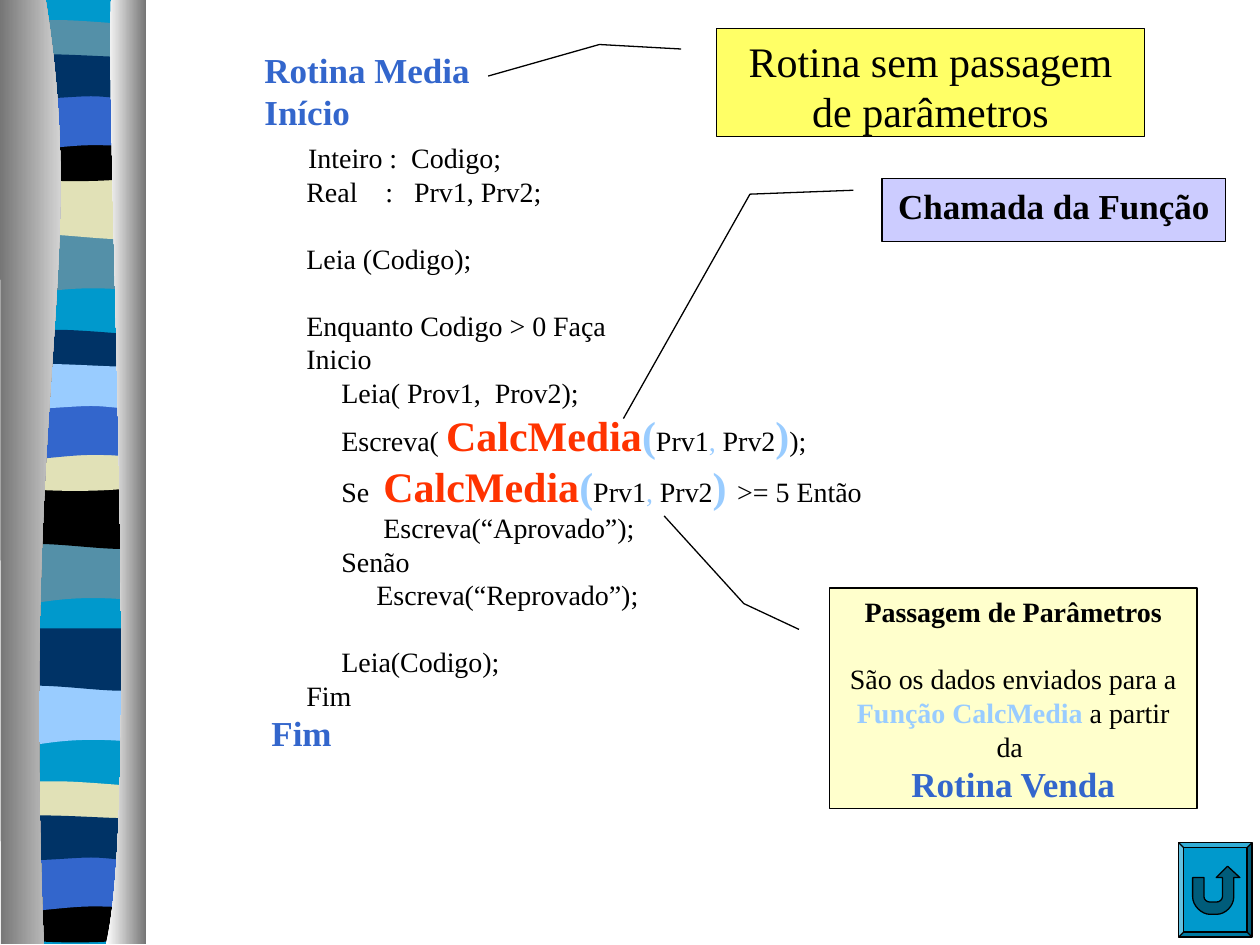
from lxml import etree
from pptx import Presentation
from pptx.dml.color import RGBColor
from pptx.enum import shapes, text
from pptx.util import Pt

FONT = "Times New Roman"
BLACK = RGBColor(0x00, 0x00, 0x00)
WHITE = RGBColor(0xFF, 0xFF, 0xFF)
GRAY = RGBColor(0x76, 0x76, 0x76)
CYAN = RGBColor(0x00, 0x99, 0xCC)
TEAL = RGBColor(0x54, 0x90, 0xA8)
NAVY = RGBColor(0x00, 0x33, 0x66)
BLUE = RGBColor(0x33, 0x66, 0xCC)
SAND = RGBColor(0xE1, 0xE1, 0xB7)
SKY = RGBColor(0x99, 0xCC, 0xFF)
RED = RGBColor(0xFF, 0x33, 0x00)
YELLOW = RGBColor(0xFF, 0xFF, 0x66)
LILAC = RGBColor(0xCC, 0xCC, 0xFF)
CREAM = RGBColor(0xFF, 0xFF, 0xCC)
DEEP_CYAN = RGBColor(0x00, 0x5C, 0x7A)

ROLL = ((78, 133), (78, 167), (24, 161, 13, 173, 0, 167), (0, 133))
SWELL = ((78, 101.5), (78, 135.5), (65, 141, 24, 131, 0, 135.5), (0, 101.5))
CREST = ((78, 15), (78, 32), (65, 35, 13, 35, 0, 32), (0, 15),
         (4, 11.5, 17, 12, 30, 12), (42, 12, 68, 14.5, 78, 15))
SAG = ((78, 78), (78, 101), (65, 105, 13, 105, 0, 101), (0, 78),
       (48, 81, 61, 78, 78, 78))
ARCH = ((78, 53), (78, 87), (66, 83.5, 61, 83.5, 48, 83.5),
        (35, 83.5, 12, 87, 0, 87), (0, 53))
RIPPLE = ((78, 33), (78, 55.5), (73, 59, 61, 55.5, 48, 55.5),
          (35, 55.5, 8, 59, 0, 55.5), (0, 33), (11, 29.5, 53, 33, 66, 33), (78, 33))
TILE = (ROLL, SWELL, CREST, SAG, ARCH, RIPPLE)
BAND_GROUPS = (
    (0, TILE, (TEAL, SAND, TEAL, BLACK, BLUE, NAVY)),
    (177, TILE, (TEAL, BLACK, NAVY, SAND, BLUE, SKY)),
    (258, TILE[:2], (SKY, NAVY)),
    (435, TILE[2:], (SAND, BLACK, BLUE, NAVY)),
)
U_ARROW = (
    (8, 20), (14.5, 20), (14.5, 31), (14.5, 32.5, 16, 34, 18, 34), (21.5, 34),
    (23.5, 34, 25, 32.5, 25, 31), (25, 20), (21.5, 20), (28, 13.5), (35, 20),
    (31.5, 20), (31.5, 31), (31.5, 36, 27, 41, 21.5, 41), (18, 41),
    (13, 41, 8, 36, 8, 31))


def outline(slide, left, top, moves, color=None):
    """Draw a closed outline; a move of six numbers is a cubic curve."""
    places = [(Pt(left + x), Pt(top + y))
              for move in moves for x, y in zip(move[::2], move[1::2])]
    builder = slide.shapes.build_freeform(*places[0])
    builder.add_line_segments(places[1:], close=True)
    form = builder.convert_to_shape()
    lines = iter(form._element.findall(".//{*}lnTo"))
    for move in moves[1:]:
        first = next(lines)
        if len(move) == 6:
            first.tag = first.tag.replace("lnTo", "cubicBezTo")
            for extra in (next(lines), next(lines)):
                first.append(extra[0])
                extra.getparent().remove(extra)
    for leftover in lines:
        leftover.getparent().remove(leftover)
    form.shadow.inherit = False
    form.line.fill.background()
    if color is not None:
        form.fill.solid()
        form.fill.fore_color.rgb = color
    return form


def curtain(slide, left, top, moves, colors):
    """Draw a drape shaded from left to right."""
    drape = outline(slide, left, top, moves)
    drape.fill.gradient()
    drape.fill.gradient_angle = 0
    for stop, color in zip(drape.fill.gradient_stops, colors):
        stop.color.rgb = color


def side_ornament(slide, left, top, width, height):
    """Draw the wavy bands between two drapes."""
    outline(slide, left + 4, top, ((78, 0), (78, height), (0, height), (0, 0)), CYAN)
    for offset, bands, colors in BAND_GROUPS:
        for band, color in zip(bands, colors):
            outline(slide, left + 4, top + offset, band, color)
    curtain(slide, left, top, (
        (26, 0), (51, 156, 12, 213, 25, height), (0.5, height), (0, 0)), (GRAY, WHITE))
    curtain(slide, left, top, (
        (63.5, 0), (60.5, 90, 80, 465, 60.5, height), (width, height), (width, 0)),
        (WHITE, GRAY))


def style(font, size=None, color=None, bold=None):
    """Set the given font properties."""
    if size is not None:
        font.size = Pt(size)
    if color is not None:
        font.color.rgb = color
    if bold is not None:
        font.bold = bold


def write(frame, lines):
    """Fill a frame with (runs, indent, gap, font style) lines."""
    frame.word_wrap = True
    frame.vertical_anchor = text.MSO_ANCHOR.TOP
    for number, (runs, indent, gap, look) in enumerate(lines):
        line = frame.add_paragraph() if number else frame.paragraphs[0]
        line.font.name = FONT
        style(line.font, *look)
        line.space_before = Pt(gap)
        props = line._p.get_or_add_pPr()
        props.set("marL", str(Pt(indent)))
        props.set("indent", "0")
        for words, *run_look in runs:
            run = line.add_run()
            run.text = words
            style(run.font, *run_look)


def line_of(runs, indent=0, gap=0, look=(16, BLACK, False)):
    """Describe one line of text, from plain words or a list of runs."""
    return ([(runs,)] if isinstance(runs, str) else runs), indent, gap, look


def call(before, after, closing):
    """Describe the runs of a line that calls the function."""
    return [(before,), ("CalcMedia", 24, RED, True), ("(", 24, SKY, True), ("Prv1",),
            (",", 16, SKY), (" Prv2",), (closing, 24, SKY, True), (after,)]


def routine(slide, left, top, width, height):
    """Write the routine's pseudocode."""
    listing = slide.shapes.add_textbox(Pt(left), Pt(top), Pt(width), Pt(height))
    listing.fill.solid()
    listing.fill.fore_color.rgb = WHITE
    keyword = (20, BLUE, True)
    write(listing.text_frame, [
        line_of("Rotina Media", look=keyword),
        line_of("Início", look=keyword),
        line_of("Inteiro :  Codigo;", 25, 4.5),
        line_of("Real    :   Prv1, Prv2;", 24, 0.5),
        line_of("Leia (Codigo);", 24, 19),
        line_of("Enquanto Codigo > 0 Faça", 24, 19),
        line_of("Inicio", 24),
        line_of("Leia( Prov1,  Prov2);", 44),
        line_of(call("Escreva( ", ");", ")"), 44, 0.5),
        line_of(call("Se  ", ">= 5 Então", ") "), 44),
        line_of("Escreva(“Aprovado”);", 68),
        line_of("Senão", 44),
        line_of("Escreva(“Reprovado”);", 64),
        line_of("Leia(Codigo);", 44, 19),
        line_of("Fim", 24),
        line_of("Fim", 4, look=keyword),
    ])


def callout(slide, left, top, width, height, color, leader, lines):
    """Draw a bordered note with a bent leader line."""
    note = slide.shapes.add_shape(
        shapes.MSO_SHAPE.LINE_CALLOUT_2, Pt(left), Pt(top), Pt(width), Pt(height))
    note.shadow.inherit = False
    note.fill.solid()
    note.fill.fore_color.rgb = color
    note.line.color.rgb = BLACK
    note.line.width = Pt(0.75)
    for index, value in enumerate((0.188, -0.083) + leader):
        note.adjustments[index] = value
    write(note.text_frame, lines)
    for line in note.text_frame.paragraphs:
        line.alignment = text.PP_ALIGN.CENTER


def return_button(slide, left, top, width, height):
    """Draw a bevelled button with a U-turn arrow."""
    button = slide.shapes.add_shape(
        shapes.MSO_SHAPE.BEVEL, Pt(left), Pt(top), Pt(width), Pt(height))
    button.adjustments[0] = 0.07
    button.shadow.inherit = False
    button.fill.solid()
    button.fill.fore_color.rgb = CYAN
    arrow = outline(slide, left, top, U_ARROW, DEEP_CYAN)
    for part in (button, arrow):
        part.line.color.rgb = BLACK
        part.line.width = Pt(0.75)


def main():
    """Build and save the slide."""
    deck = Presentation()
    deck.slide_width, deck.slide_height = Pt(720), Pt(540)
    slide = deck.slides.add_slide(deck.slide_layouts[6])
    side_ornament(slide, 0, -0.5, 83.5, 540)
    routine(slide, 144, 24, 486, 410)
    return_button(slide, 673.5, 481.5, 42, 54)
    callout(slide, 409.5, 16.5, 244.5, 61.5, YELLOW, (0.146, -0.274, 0.439, -0.534),
            [line_of("Rotina sem passagem de parâmetros", look=(24, BLACK, False))])
    callout(slide, 504, 102, 196.5, 36, LILAC, (0.25, -0.384, 3.812, -0.752),
            [line_of("Chamada da Função", look=(20, BLACK, True))])
    callout(slide, 474, 336, 210, 126, CREAM, (0.071, -0.233, -0.327, -0.45), [
        line_of("Passagem de Parâmetros", look=(16, BLACK, True)),
        line_of([("São os dados enviados para a ",), ("Função CalcMedia", 16, SKY, True),
                 (" a partir da ",)], gap=19.5),
        line_of("Rotina Venda", look=(20, BLUE, True)),
    ])
    deck.save("out.pptx")


if __name__ == "__main__":
    main()
